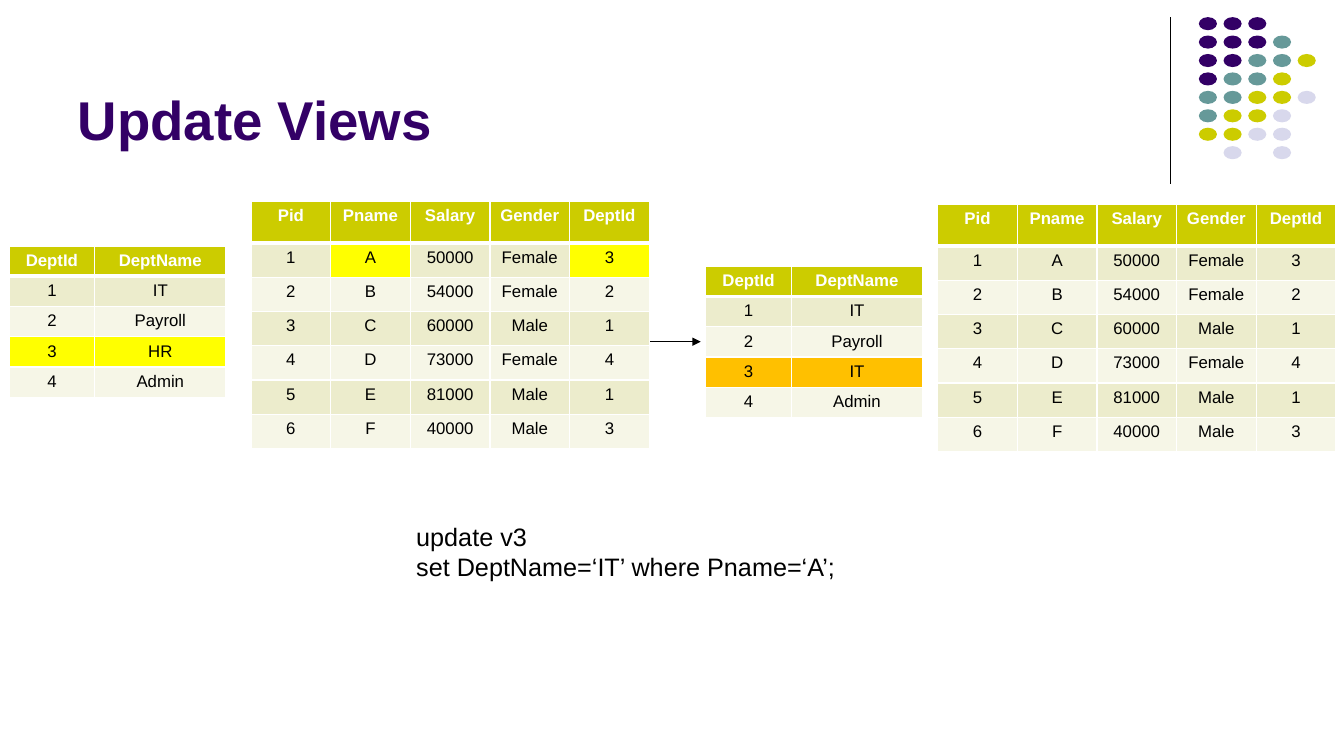
from dataclasses import dataclass

import pptx
import pptx.dml.color
import pptx.enum.shapes
import pptx.enum.text
import pptx.oxml.ns
import pptx.util
from lxml import etree

Inches = pptx.util.Inches
Pt = pptx.util.Pt
qn = pptx.oxml.ns.qn


@dataclass(frozen=True)
class Theme:
    font: str = "Arial"
    title_size: int = 39
    body_size: int = 18
    cell_size: int = 12
    black: str = "000000"
    white: str = "FFFFFF"
    purple: str = "330066"
    teal: str = "669999"
    olive: str = "CCCC00"
    lavender: str = "D8D8EC"
    bands: tuple = ("ECECCC", "F6F6E7")
    before: str = "FFFF00"
    after: str = "FFC000"


THEME = Theme()

DOT_COLORS = {"P": THEME.purple, "T": THEME.teal,
              "O": THEME.olive, "L": THEME.lavender}
DOT_ROWS = ["PPP", "PPPT", "PPTTO", "PTTO", "TTOOL", "TOOL", "OOLL", ".L.L"]

DEPT_COLS = [0.85, 1.3]
DEPT_ROWS = [0.3] * 5
PERSON_COLS = [0.79] * 5
PERSON_ROWS = [0.41] + [0.34] * 6
PEOPLE = [
    ("Pid", "Pname", "Salary", "Gender", "DeptId"),
    ("1", "A", "50000", "Female", "3"),
    ("2", "B", "54000", "Female", "2"),
    ("3", "C", "60000", "Male", "1"),
    ("4", "D", "73000", "Female", "4"),
    ("5", "E", "81000", "Male", "1"),
    ("6", "F", "40000", "Male", "3"),
]


def departments(third_name):
    return [("DeptId", "DeptName"), ("1", "IT"), ("2", "Payroll"),
            ("3", third_name), ("4", "Admin")]


def rgb(color):
    return pptx.dml.color.RGBColor.from_string(color)


def set_fill(target, color):
    target.fill.solid()
    target.fill.fore_color.rgb = rgb(color)


def write(p, text, size, color, bold=False):
    r = p.add_run()
    r.text = text
    formats = {"name": THEME.font, "size": Pt(size), "bold": bold}
    for name, value in formats.items():
        setattr(r.font, name, value)
    r.font.color.rgb = rgb(color)


def add_title(s, text):
    sp = s.shapes.title
    box = {"left": 0.67, "top": 0.13, "width": 11, "height": 1.42}
    for name, value in box.items():
        setattr(sp, name, Inches(value))
    tf = sp.text_frame
    tf.vertical_anchor = pptx.enum.text.MSO_ANCHOR.BOTTOM
    p = tf.paragraphs[0]
    p.alignment = pptx.enum.text.PP_ALIGN.LEFT
    write(p, text, THEME.title_size, THEME.purple, bold=True)


def add_statement(s, lines):
    sp = s.shapes.add_textbox(Inches(4.03), Inches(5.12), Inches(5.27), Inches(0.71))
    tf = sp.text_frame
    tf.word_wrap = True
    for i, line in enumerate(lines):
        p = tf.add_paragraph() if i else tf.paragraphs[0]
        write(p, line, THEME.body_size, THEME.black)


def add_line(s, start, end, width, arrow=False):
    points = [Inches(v) for v in (*start, *end)]
    line = s.shapes.add_connector(pptx.enum.shapes.MSO_CONNECTOR.STRAIGHT, *points)
    line.line.width = Pt(width)
    line.line.color.rgb = rgb(THEME.black)
    if arrow:
        etree.SubElement(line.line._get_or_add_ln(), qn("a:tailEnd"), type="triangle")
    etree.SubElement(line._element.spPr, qn("a:effectLst"))


def add_dots(s):
    pitch_x, pitch_y = 0.98 / 4, 1.28 / 7
    group = s.shapes.add_group_shape()
    for row, pattern in enumerate(DOT_ROWS):
        for col, key in enumerate(pattern):
            if key not in DOT_COLORS:
                continue
            dot = group.shapes.add_shape(
                pptx.enum.shapes.MSO_SHAPE.OVAL,
                Inches(11.89 + col * pitch_x), Inches(0.17 + row * pitch_y),
                Inches(0.18), Inches(0.13))
            dot.shadow.inherit = False
            set_fill(dot, DOT_COLORS[key])
            dot.line.fill.background()


def add_borders(cell, bottom):
    """Draw white cell edges, with the bottom one of the given point width."""
    tcPr = cell._tc.get_or_add_tcPr()
    for side, width in {"L": 1, "R": 1, "T": 1, "B": bottom}.items():
        ln = etree.SubElement(tcPr, qn(f"a:ln{side}"), w=str(Pt(width)))
        fill = etree.SubElement(ln, qn("a:solidFill"))
        etree.SubElement(fill, qn("a:srgbClr"), val=THEME.white)


def add_data_table(s, left, top, widths, heights, data, marked=(), mark=None):
    """Add a banded table whose marked (row, column) cells take the mark colour."""
    table = s.shapes.add_table(
        len(heights), len(widths), Inches(left), Inches(top),
        Inches(sum(widths)), Inches(sum(heights))).table
    for column, width in zip(table.columns, widths):
        column.width = Inches(width)
    for row, height in zip(table.rows, heights):
        row.height = Inches(height)
    for i, values in enumerate(data):
        header = i == 0
        band = THEME.olive if header else THEME.bands[(i - 1) % 2]
        for j, text in enumerate(values):
            cell = table.cell(i, j)
            cell.margin_left = cell.margin_right = Inches(0.05)
            add_borders(cell, bottom=3 if header else 1)
            set_fill(cell, mark if (i, j) in marked else band)
            p = cell.text_frame.paragraphs[0]
            p.alignment = pptx.enum.text.PP_ALIGN.CENTER
            write(p, text, THEME.cell_size,
                  THEME.white if header else THEME.black, bold=header)


def main():
    prs = pptx.Presentation()
    prs.slide_width, prs.slide_height = Inches(13.33), Inches(7.5)
    s = prs.slides.add_slide(prs.slide_layouts[5])

    add_line(s, (11.61, 0.17), (11.61, 1.83), 0.75)
    add_dots(s)
    add_title(s, "Update Views")
    add_statement(s, ["update v3", "set DeptName=‘IT’ where Pname=‘A’;"])

    changed_dept = {(3, 0), (3, 1)}
    add_data_table(s, 0.09, 2.44, DEPT_COLS, DEPT_ROWS, departments("HR"),
                   changed_dept, THEME.before)
    add_data_table(s, 2.49, 2, PERSON_COLS, PERSON_ROWS, PEOPLE,
                   {(1, 1), (1, 4)}, THEME.before)
    add_data_table(s, 7, 2.64, DEPT_COLS, DEPT_ROWS, departments("IT"),
                   changed_dept, THEME.after)
    add_data_table(s, 9.3, 2.03, PERSON_COLS, PERSON_ROWS, PEOPLE)
    add_line(s, (6.45, 3.39), (6.95, 3.39), 0.5, arrow=True)

    prs.save("out.pptx")


if __name__ == "__main__":
    main()
